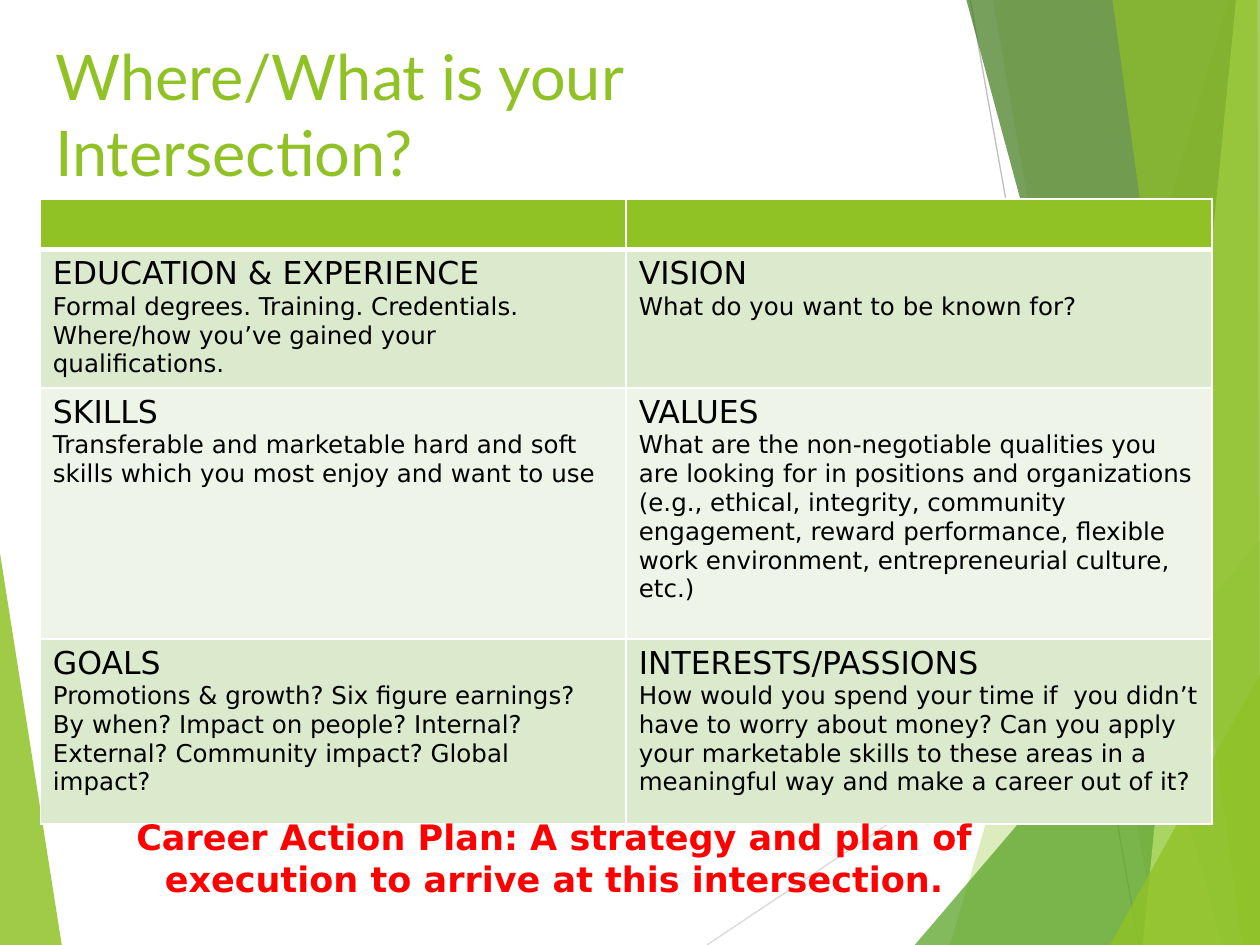
from lxml import etree
from pptx import Presentation
from pptx.dml.color import RGBColor
from pptx.enum.shapes import MSO_CONNECTOR
from pptx.enum.text import MSO_ANCHOR, PP_ALIGN
from pptx.oxml.ns import qn
from pptx.util import Inches, Pt

STRAIGHT = MSO_CONNECTOR.STRAIGHT
TOP = MSO_ANCHOR.TOP
LEFT, CENTER = PP_ALIGN.LEFT, PP_ALIGN.CENTER

LIME = RGBColor(0x90, 0xC2, 0x26)
GREEN = RGBColor(0x54, 0xA0, 0x21)
FOREST = RGBColor(0x3F, 0x78, 0x19)
PALE_LIME = RGBColor(0xC0, 0xE4, 0x74)
BAND_DARK = RGBColor(0xDB, 0xE9, 0xCD)
BAND_LIGHT = RGBColor(0xEE, 0xF4, 0xE8)
LIGHT_GRAY = RGBColor(0xD9, 0xD9, 0xD9)
MID_GRAY = RGBColor(0xBF, 0xBF, 0xBF)
WHITE = RGBColor(0xFF, 0xFF, 0xFF)
BLACK = RGBColor(0, 0, 0)
RED = RGBColor(0xFF, 0, 0)

WIDTH, HEIGHT = 10, 7.5
TITLE = "Where/What is your Intersection?"
CLOSING = "Career Action Plan: A strategy and plan of execution to arrive at this intersection."
TOPICS = [
    [("EDUCATION & EXPERIENCE",
      "Formal degrees. Training. Credentials. Where/how you’ve gained your qualifications."),
     ("VISION", "What do you want to be known for?")],
    [("SKILLS",
      "Transferable and marketable hard and soft skills which you most enjoy and want to use"),
     ("VALUES",
      "What are the non-negotiable qualities you are looking for in positions and organizations "
      "(e.g., ethical, integrity, community engagement, reward performance, flexible work "
      "environment, entrepreneurial culture, etc.)")],
    [("GOALS",
      "Promotions & growth? Six figure earnings? By when? Impact on people? Internal? External? "
      "Community impact? Global impact?"),
     ("INTERESTS/PASSIONS",
      "How would you spend your time if  you didn’t have to worry about money? Can you apply "
      "your marketable skills to these areas in a meaningful way and make a career out of it?")],
]
ROW_HEIGHTS = [0.4, 1.08, 1.99, 1.47]

LEFT_FACET = ([(0, 4.39), (0.49, HEIGHT), (0, HEIGHT)], LIME, 85)
RAYS = [((5.61, HEIGHT), (WIDTH, 4.57), LIGHT_GRAY), ((7.7, 0), (9.04, HEIGHT), MID_GRAY)]
RIGHT_FACETS = [
    ([(9.75, 0), (7.54, HEIGHT), (WIDTH, HEIGHT), (WIDTH, 0)], LIME, 30),
    ([(7.88, 0), (9.19, HEIGHT), (WIDTH, HEIGHT), (WIDTH, 0)], LIME, 20),
    ([(7.26, HEIGHT), (WIDTH, 4.29), (WIDTH, HEIGHT)], GREEN, 72),
    ([(7.67, 0), (9.7, HEIGHT), (WIDTH, HEIGHT), (WIDTH, 0)], FOREST, 70),
    ([(9.81, 0), (9.07, HEIGHT), (WIDTH, HEIGHT), (WIDTH, 0)], PALE_LIME, 70),
    ([(8.83, 0), (9.86, HEIGHT), (WIDTH, HEIGHT), (9.98, 0)], LIME, 65),
    ([(8.81, HEIGHT), (WIDTH, 5.35), (WIDTH, HEIGHT)], LIME, 80),
]


def add_facet(slide, corners, color, opacity):
    points = [(Inches(x), Inches(y)) for x, y in corners]
    outline = slide.shapes.build_freeform(*points[0])
    outline.add_line_segments(points[1:], close=True)
    facet = outline.convert_to_shape()
    facet.shadow.inherit = False
    facet.line.fill.background()
    facet.fill.solid()
    facet.fill.fore_color.rgb = color
    tint = facet.fill._xPr.find(qn("a:solidFill"))[0]
    etree.SubElement(tint, qn("a:alpha"), val=str(opacity * 1000))


def add_ray(slide, start, end, color):
    ray = slide.shapes.add_connector(STRAIGHT, *map(Inches, start + end))
    ray.line.color.rgb = color
    ray.line.width = Pt(0.75)
    etree.SubElement(ray._element.spPr, qn("a:effectLst"))


def style(paragraph, size, color, font="DejaVu Sans", bold=False, align=LEFT):
    paragraph.alignment = align
    for run in paragraph.runs:
        run.font.name = font
        run.font.size = Pt(size)
        run.font.bold = bold
        run.font.color.rgb = color


def add_text(slide, text, left, top, width, height):
    box = slide.shapes.add_textbox(*map(Inches, (left, top, width, height)))
    frame = box.text_frame
    frame.word_wrap = True
    frame.vertical_anchor = TOP
    frame.text = text
    return frame


def paint_cell(cell, color, bottom_width):
    properties = cell._tc.get_or_add_tcPr()
    for side, width in (("L", 1), ("R", 1), ("T", 1), ("B", bottom_width)):
        border = etree.SubElement(properties, qn(f"a:ln{side}"), w=str(Pt(width)))
        fill = etree.SubElement(border, qn("a:solidFill"))
        etree.SubElement(fill, qn("a:srgbClr"), val=str(WHITE))
    cell.fill.solid()
    cell.fill.fore_color.rgb = color


def add_topics(slide):
    table = slide.shapes.add_table(
        len(ROW_HEIGHTS), 2, *map(Inches, (0.32, 1.58, 9.3, sum(ROW_HEIGHTS)))
    ).table
    for row, height in zip(table.rows, ROW_HEIGHTS):
        row.height = Inches(height)
    for header in table.rows[0].cells:
        paint_cell(header, LIME, 3)
    for index, topics in enumerate(TOPICS, start=1):
        for cell, (heading, detail) in zip(table.rows[index].cells, topics):
            paint_cell(cell, BAND_DARK if index % 2 else BAND_LIGHT, 1)
            cell.text_frame.text = f"{heading}\n{detail}"
            for paragraph, size in zip(cell.text_frame.paragraphs, (18, 14)):
                style(paragraph, size, BLACK)


def main():
    deck = Presentation()
    deck.slide_width, deck.slide_height = Inches(WIDTH), Inches(HEIGHT)
    slide = deck.slides.add_slide(deck.slide_layouts[6])

    add_facet(slide, *LEFT_FACET)
    for ray in RAYS:
        add_ray(slide, *ray)
    for facet in RIGHT_FACETS:
        add_facet(slide, *facet)

    title = add_text(slide, TITLE, 0.34, 0.25, 7.66, 1.44)
    title.margin_right = Inches(0.5)
    style(title.paragraphs[0], 36, LIME, font="Lato")
    add_topics(slide)
    closing = add_text(slide, CLOSING, 0.36, 6.42, 8.08, 0.77)
    style(closing.paragraphs[0], 20, RED, bold=True, align=CENTER)

    deck.save("out.pptx")


if __name__ == "__main__":
    main()
